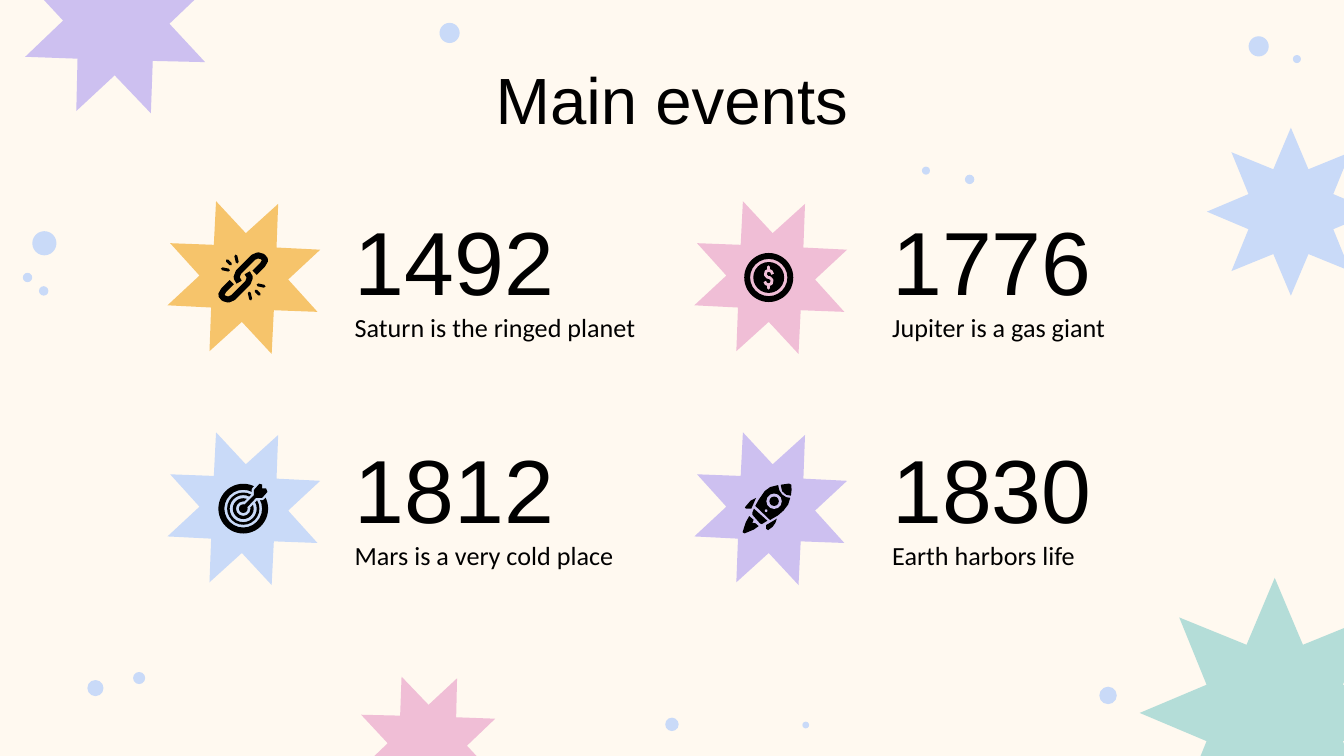
from lxml.etree import SubElement
from pptx import Presentation
from pptx.dml.color import RGBColor
from pptx.enum.shapes import MSO_CONNECTOR, MSO_SHAPE
from pptx.enum.text import MSO_ANCHOR, PP_ALIGN
from pptx.oxml.ns import qn
from pptx.util import Inches, Pt

CREAM = RGBColor(0xFF, 0xF9, 0xF0)
BLACK = RGBColor(0, 0, 0)
PINK = RGBColor(0xF0, 0xBE, 0xD6)
BLUE = RGBColor(0xC9, 0xDA, 0xF8)
GREEN = RGBColor(0xB4, 0xDD, 0xD8)
LILAC = RGBColor(0xCD, 0xC0, 0xF0)
ORANGE = RGBColor(0xF6, 0xC4, 0x6B)

# Background: left, top, diameter
DOTS = [
    (0.24, 1.72, 0.18), (0.29, 2.13, 0.07), (0.17, 2.03, 0.07), (7.18, 1.3, 0.07),
    (3.27, 0.17, 0.15), (0.65, 5.06, 0.12), (0.99, 5, 0.09), (8.18, 5.11, 0.13),
    (5.97, 5.37, 0.05), (4.95, 5.34, 0.1), (9.29, 0.27, 0.15), (9.62, 0.41, 0.06),
    (6.86, 1.24, 0.06),
]
# Left, top, size, rotation, colour
CORNER_STARS = [
    (2.64, 5, 1.08, 339.2, PINK), (8.48, 4.3, 2.01, 0, GREEN),
    (8.98, 0.95, 1.25, 0, BLUE), (0.14, -0.56, 1.45, 339.2, LILAC),
]

# Icon points are hundredths of an inch from the centre of the icon
CHAIN_HALF = [(-8.5, 3.5), (-14.5, 9.5), (-16.5, 13), (-14.5, 15.5), (-11, 16.5),
              (-7.5, 15), (3.5, 4), (5, 0), (3, -3.5)]
CHAIN_RAYS = [((9.5, 10), (12, 12.5)), ((11, 5.5), (15.5, 6.5)), ((4.5, 11.5), (5.5, 16))]
TARGET_RINGS = [(37, 0.12), (24, 0.08), (15.5, 0.15)]
DART = [(-1, -1), (8, -10), (8, -14), (12, -18.5), (14, -18), (14, -15), (17, -15),
        (18, -12.5), (14, -8), (9.5, -8), (1, 1)]
DOLLAR = [(3, -2.5), (2, -4.5), (0, -5.5), (-2, -4.5), (-2.5, -2), (-1, -0.2),
          (1, 0.2), (2.5, 2), (2, 4.5), (0, 5.5), (-2, 4.8), (-3, 3)]
ROCKET_PARTS = [
    [(-10, -2), (-7.5, -6.5), (-3, -13), (1, -16), (7, -17.5), (8, -13.5), (10, -10.5),
     (13, -8.5), (16, -8), (14.5, -3), (11, 1.5), (7, 5), (1, 8.5)],
    [(9, -17.8), (15, -18.7), (16.8, -17.8), (17, -14), (16.5, -9.7), (13, -10.3),
     (10, -13), (9, -17)],
    [(-11, 0), (-1, 9), (-5, 11.5), (-6.5, 11), (-12.2, 4.5), (-12.2, 3)],
    [(-9.5, -8), (-13.5, -6), (-17.8, -1), (-17, 0), (-13, 0)],
    [(6, 7.5), (-2, 12.3), (-2, 15), (-0.5, 16), (3, 13.5), (5, 10.5)],
    [(-14.5, 5.5), (-11.2, 8.3), (-12.2, 10.5), (-10, 10.8), (-7.5, 13), (-11, 15.5),
     (-18, 18.4), (-19.5, 17.5), (-17, 10)],
]


def add_shape(kind, left, top, size, color, turn=0, adjust=None):
    shape = page.shapes.add_shape(kind, Inches(left), Inches(top), Inches(size), Inches(size))
    shape.shadow.inherit = False
    shape.fill.solid()
    shape.fill.fore_color.rgb = color
    shape.line.fill.background()
    shape.rotation = turn
    if adjust is not None:
        shape.adjustments[0] = adjust


def add_star(left, top, size, turn, color):
    add_shape(MSO_SHAPE.STAR_8_POINT, left, top, size, color, turn, 0.273)


def add_round(center, size, color, hole=None, shift=(0, 0)):
    """Disc, or ring when hole is given, in icon units."""
    left, top = (c + (s - size / 2) / 100 for c, s in zip(center, shift))
    add_shape(MSO_SHAPE.OVAL if hole is None else MSO_SHAPE.DONUT,
              left, top, size / 100, color, adjust=hole)


def place(center, points):
    return [tuple(Inches(c + p / 100) for c, p in zip(center, point)) for point in points]


def add_outline(center, points, fill=None, line=None, width=0):
    """Closed when filled, an open stroke otherwise."""
    first, *rest = place(center, points)
    builder = page.shapes.build_freeform(*first)
    builder.add_line_segments(rest, close=fill is not None)
    shape = builder.convert_to_shape()
    shape.shadow.inherit = False
    if fill is None:
        shape.fill.background()
    else:
        shape.fill.solid()
        shape.fill.fore_color.rgb = fill
    if line is None:
        shape.line.fill.background()
    else:
        shape.line.color.rgb = line
        shape.line.width = Pt(width)


def add_ray(center, ends, color, width):
    start, end = place(center, ends)
    ray = page.shapes.add_connector(MSO_CONNECTOR.STRAIGHT, *start, *end)
    ray.line.color.rgb = color
    ray.line.width = Pt(width)
    ray.line._get_or_add_ln().set("cap", "rnd")
    SubElement(ray._element.spPr, qn("a:effectLst"))


def draw_chain(center, color):
    for sign in (1, -1):
        def turned(points):
            return [(sign * x, sign * y) for x, y in points]
        add_outline(center, turned(CHAIN_HALF), line=BLACK, width=3.2)
        for ends in CHAIN_RAYS:
            add_ray(center, turned(ends), BLACK, 1.6)


def draw_target(center, color):
    for size, hole in TARGET_RINGS:
        add_round(center, size, BLACK, hole)
    add_outline(center, DART, color, color, 2.5)
    add_outline(center, DART, BLACK)
    add_round(center, 6.5, BLACK)


def draw_coin(center, color):
    add_round(center, 36.5, BLACK, 0.12)
    add_round(center, 23, BLACK)
    add_outline(center, DOLLAR, line=color, width=1.5)
    for sign in (1, -1):
        add_ray(center, [(0, sign * 6), (0, sign * 8)], color, 1.5)


def draw_rocket(center, color):
    for part in ROCKET_PARTS:
        add_outline(center, part, BLACK)
    add_round(center, 11.5, color, shift=(4, -5.5))
    add_round(center, 7, BLACK, shift=(4, -5.5))
    add_round(center, 2, color, shift=(-2, 1.5))


def add_text(text, left, top, width, height, size, font="Arial", align=PP_ALIGN.LEFT):
    box = page.shapes.add_textbox(Inches(left), Inches(top), Inches(width), Inches(height))
    frame = box.text_frame
    frame.word_wrap = True
    frame.vertical_anchor = MSO_ANCHOR.TOP
    frame.margin_left = frame.margin_right = Inches(0.1)
    frame.margin_top = frame.margin_bottom = Inches(0.1)
    para = frame.paragraphs[0]
    para.alignment = align
    span = para.add_run()
    span.text = text
    span.font.size = Pt(size)
    span.font.name = font
    span.font.color.rgb = BLACK


# Row by row: year, caption, star colour, icon
EVENTS = [
    ("1492", "Saturn is the ringed planet", ORANGE, draw_chain),
    ("1776", "Jupiter is a gas giant", PINK, draw_coin),
    ("1812", "Mars is a very cold place", BLUE, draw_target),
    ("1830", "Earth harbors life", LILAC, draw_rocket),
]
STAR, STAR_LEFT, STAR_TOP = 1.21, (1.21, 5.13), (1.46, 3.18)
ICON_LEFT = (1.81, 5.72)
TEXT_LEFT, YEAR_TOP, CAPTION_TOP = (2.54, 6.54), (1.43, 3.13), (2.22, 3.91)

deck = Presentation()
deck.slide_width = Inches(10)
deck.slide_height = deck.slide_width * 9 // 16
page = deck.slides.add_slide(deck.slide_layouts[6])
page.background.fill.solid()
page.background.fill.fore_color.rgb = CREAM

for dot in DOTS:
    add_shape(MSO_SHAPE.OVAL, *dot, BLUE)
for star in CORNER_STARS:
    add_star(*star)
add_text("Main events", 0.87, 0.34, 8.26, 0.62, 35, align=PP_ALIGN.CENTER)

for index, (year, caption, color, draw_icon) in enumerate(EVENTS):
    row, column = divmod(index, 2)
    add_text(year, TEXT_LEFT[column], YEAR_TOP[row], 2.45, 0.77, 48)
    add_text(caption, TEXT_LEFT[column], CAPTION_TOP[row], 2.45, 0.38, 14, "Calibri")
    add_star(STAR_LEFT[column], STAR_TOP[row], STAR, 340, color)
    draw_icon((ICON_LEFT[column], STAR_TOP[row] + STAR / 2), color)

deck.save("out.pptx")
